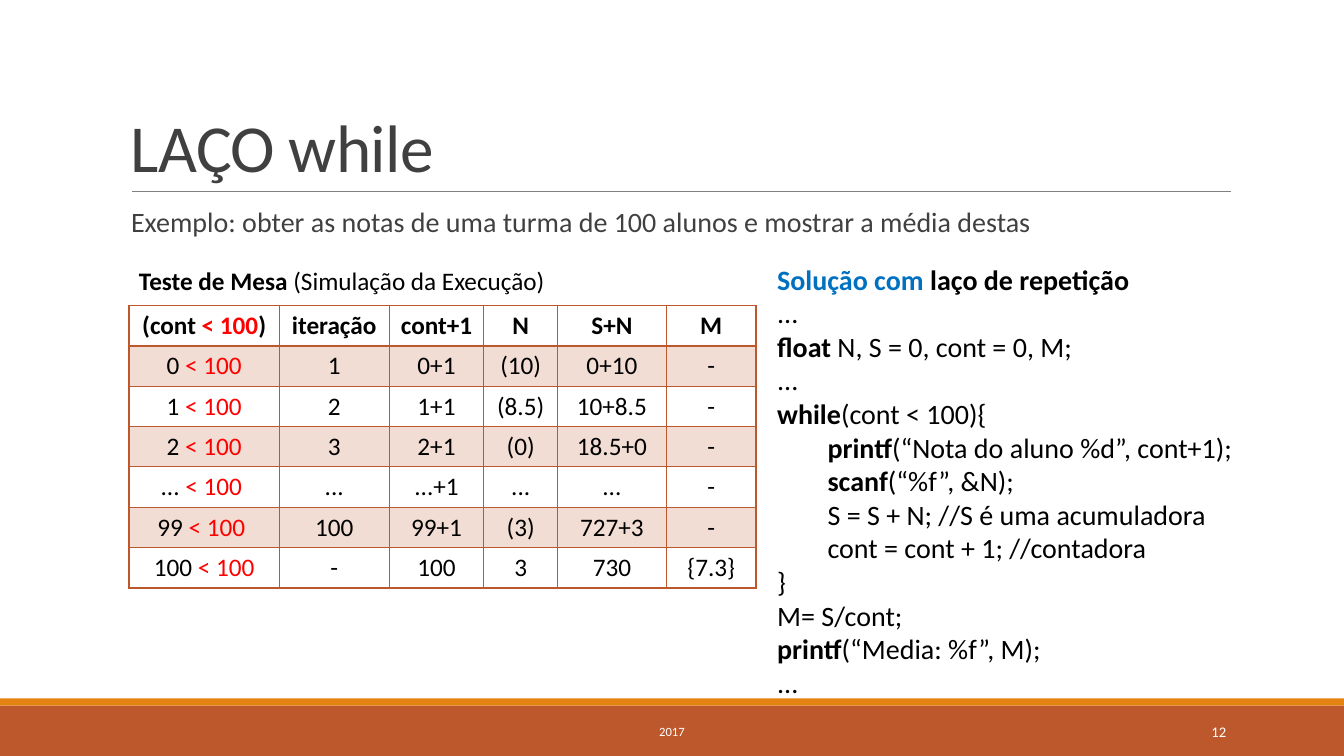
import pptx
import pptx.dml.color
import pptx.enum.shapes
import pptx.enum.text
import pptx.oxml
import pptx.oxml.ns
import pptx.util
from lxml import etree

Inches = pptx.util.Inches
Pt = pptx.util.Pt
RGBColor = pptx.dml.color.RGBColor
Align = pptx.enum.text.PP_ALIGN
Anchor = pptx.enum.text.MSO_ANCHOR
qn = pptx.oxml.ns.qn

FONT = "Calibri"
RUST = RGBColor(0xBD, 0x58, 0x2C)
ORANGE = RGBColor(0xE4, 0x83, 0x12)
GRAY = RGBColor(0x80, 0x80, 0x80)
DARK = RGBColor(0x40, 0x40, 0x40)
BLACK = RGBColor(0, 0, 0)
WHITE = RGBColor(0xFF, 0xFF, 0xFF)
RED = RGBColor(0xFF, 0, 0)
BLUE = RGBColor(0, 0x70, 0xC0)

COLUMN_WIDTHS = [1.49, 1.09, 0.94, 0.73, 1.08, 0.89]
ROW_HEIGHT = 0.4
LIMIT = "< 100"
TRACE = [
    ["(cont < 100)", "iteração", "cont+1", "N", "S+N", "M"],
    ["0 < 100", "1", "0+1", "(10)", "0+10", "-"],
    ["1 < 100", "2", "1+1", "(8.5)", "10+8.5", "-"],
    ["2 < 100", "3", "2+1", "(0)", "18.5+0", "-"],
    ["... < 100 ", "...", "...+1", "...", "...", "-"],
    ["99 < 100 ", "100", "99+1", "(3)", "727+3", "-"],
    ["100 < 100", "-", "100", "3", "730", "{7.3}"],
]
CODE = [
    (0, "", "..."),
    (0, "float", " N, S = 0, cont = 0, M;"),
    (0, "", "..."),
    (0, "while", "(cont < 100){"),
    (1, "printf", "(“Nota do aluno %d”, cont+1);"),
    (1, "scanf", "(“%f”, &N);"),
    (1, "", "S = S + N; //S é uma acumuladora"),
    (1, "", "cont = cont + 1; //contadora"),
    (0, "", "}"),
    (0, "", "M= S/cont;"),
    (0, "printf", "(“Media: %f”, M);"),
    (0, "", "..."),
]


def add_span(para, text, size, color, bold=False):
    """Add one formatted run to a paragraph."""
    span = para.add_run()
    span.text = text
    span.font.name = FONT
    span.font.size = Pt(size)
    span.font.bold = bold
    span.font.color.rgb = color
    return span


def add_text_frame(page, box, anchor=Anchor.TOP):
    """Add a wrapping text box and return its frame."""
    frame = page.shapes.add_textbox(*map(Inches, box)).text_frame
    frame.word_wrap = True
    frame.vertical_anchor = anchor
    return frame


def add_bar(page, box, color):
    """Add a plain filled rectangle."""
    bar = page.shapes.add_shape(pptx.enum.shapes.MSO_SHAPE.RECTANGLE, *map(Inches, box))
    bar.shadow.inherit = False
    bar.fill.solid()
    bar.fill.fore_color.rgb = color
    bar.line.fill.background()


def add_footer(page, box):
    """Draw the two bottom bars with the year and the page number."""
    left, top, width, height = box
    add_bar(page, (left, top + 0.07, width, height - 0.07), RUST)
    add_bar(page, (left, top, width, 0.07), ORANGE)
    for offset, label_width, text, size, align in [
        (4.03, 5.27, "2017", 9, Align.CENTER),
        (10.83, 1.43, "12", 10.5, Align.RIGHT),
    ]:
        frame = add_text_frame(page, (left + offset, top + 0.13, label_width, 0.4), Anchor.MIDDLE)
        para = frame.paragraphs[0]
        para.alignment = align
        add_span(para, text, size, WHITE)


def add_heading(page, box):
    """Place the title, the rule under it and the example statement."""
    left, top, width, height = box
    para = add_text_frame(page, box, Anchor.BOTTOM).paragraphs[0]
    para.line_spacing = 0.85
    title = add_span(para, "LAÇO while", 48, DARK)
    title.font._element.set("spc", "-50")

    base = top + height
    rule = page.shapes.add_connector(
        pptx.enum.shapes.MSO_CONNECTOR.STRAIGHT,
        Inches(left + 0.11), Inches(base), Inches(left + width + 0.01), Inches(base))
    rule.line.color.rgb = GRAY
    rule.line.width = Pt(0.5)
    etree.SubElement(rule._element.spPr, qn("a:effectLst"))

    frame = add_text_frame(page, (left + 0.1, base + 0.12, width - 0.1, 0.4))
    frame.margin_left = frame.margin_right = 0
    para = frame.paragraphs[0]
    para.line_spacing = 0.9
    add_span(para, "Exemplo: obter as notas de uma turma de 100 alunos e mostrar a média destas", 20, DARK)


def style_cell(cell, shaded, bottom_width):
    """Set the borders and the fill of one table cell."""
    properties = cell._tc.get_or_add_tcPr()
    for side, width in [("L", 1), ("R", 1), ("T", 1), ("B", bottom_width)]:
        line = etree.SubElement(properties, qn(f"a:ln{side}"), w=str(Pt(width)))
        solid = etree.SubElement(line, qn("a:solidFill"))
        etree.SubElement(solid, qn("a:srgbClr"), val=str(RUST))
    if shaded:
        cell.fill.solid()
        cell.fill.fore_color.rgb = RUST
        color = properties.find(qn("a:solidFill")).find(qn("a:srgbClr"))
        etree.SubElement(color, qn("a:alpha"), val="20000")
    else:
        cell.fill.background()


def add_trace_table(page, box):
    """Place the caption and the table that traces the loop."""
    left, top, width, height = box
    para = add_text_frame(page, (left, top - 0.45, 4.39, 0.4)).paragraphs[0]
    add_span(para, "Teste de Mesa", 18, BLACK, True)
    add_span(para, " (Simulação da Execução)", 18, BLACK)

    table = page.shapes.add_table(len(TRACE), len(COLUMN_WIDTHS), *map(Inches, box)).table
    table.first_row = table.horz_banding = False
    for column, column_width in zip(table.columns, COLUMN_WIDTHS):
        column.width = Inches(column_width)
    for row_index, texts in enumerate(TRACE):
        table.rows[row_index].height = Inches(ROW_HEIGHT)
        header = row_index == 0
        for column_index, text in enumerate(texts):
            cell = table.cell(row_index, column_index)
            style_cell(cell, row_index % 2 == 1, 2 if header else 1)
            para = cell.text_frame.paragraphs[0]
            para.alignment = Align.CENTER
            before, limit, after = text.partition(LIMIT)
            for part, color in [(before, BLACK), (limit, RED), (after, BLACK)]:
                if part:
                    add_span(para, part, 18, color, header)


def add_code(page, box):
    """Place the solution heading and its code listing."""
    frame = add_text_frame(page, box)
    para = frame.paragraphs[0]
    add_span(para, "Solução com ", 20, BLUE, True)
    add_span(para, "laço de repetição", 20, BLACK, True)
    for level, keyword, rest in CODE:
        para = frame.add_paragraph()
        if level:
            para._p.get_or_add_pPr().set("marL", str(Inches(0.5 * level)))
        if keyword:
            add_span(para, keyword, 20, BLACK, True)
        add_span(para, rest, 20, BLACK)


def main():
    """Build the slide and save the deck."""
    deck = pptx.Presentation()
    deck.slide_width = Inches(13.33)
    deck.slide_height = Inches(7.5)
    page = deck.slides.add_slide(deck.slide_layouts[6])
    add_footer(page, (0, 6.93, 13.33, 0.57))
    add_heading(page, (1.2, 0.31, 11, 1.59))
    add_trace_table(page, (1.28, 3.03, sum(COLUMN_WIDTHS), ROW_HEIGHT * len(TRACE)))
    add_code(page, (7.61, 2.55, 4.8, 4.48))
    deck.save("out.pptx")


if __name__ == "__main__":
    main()
